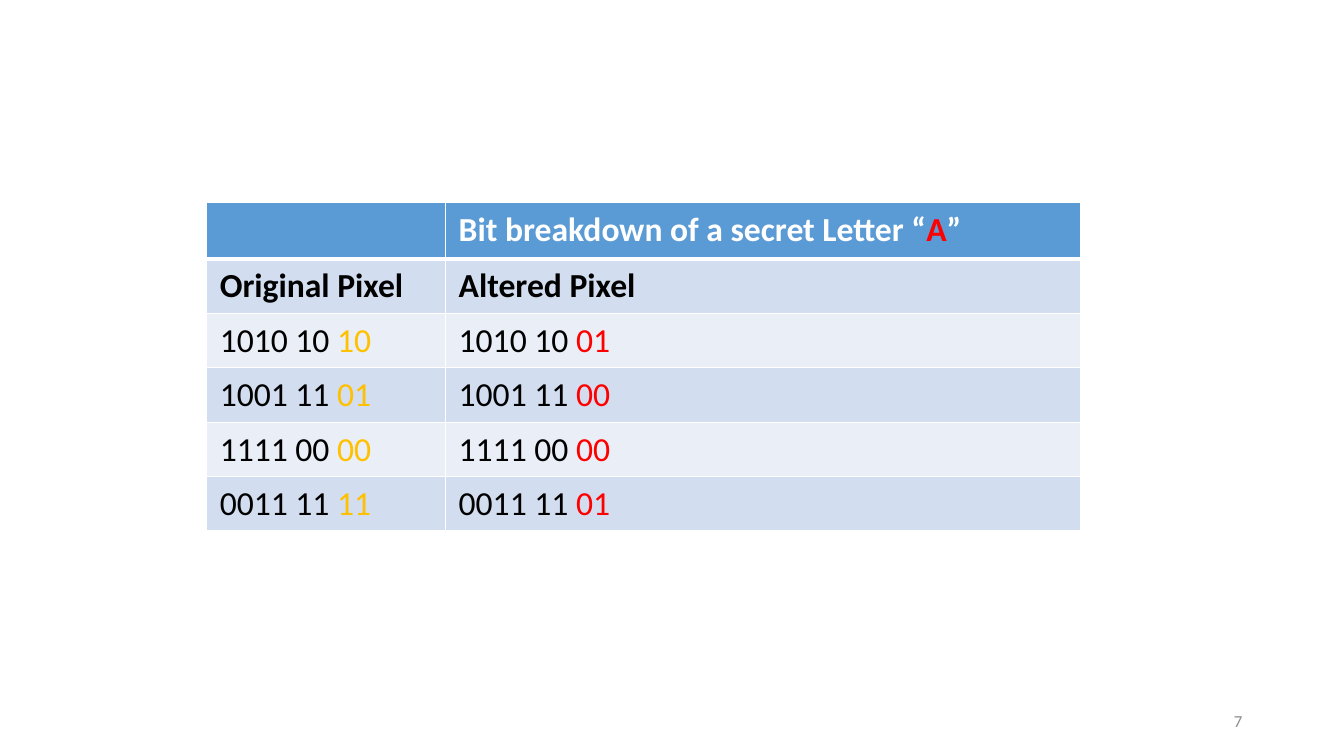
import pptx
import pptx.dml.color
import pptx.enum.text
import pptx.oxml
import pptx.oxml.ns
import pptx.util
from pptx.util import Inches

FONT = "Calibri"
COLORS = {
    "header": "5B9BD5",
    "band_dark": "D2DEEF",
    "band_light": "EAEFF7",
    "border": "FFFFFF",
    "header_text": "FFFFFF",
    "text": "000000",
    "original_bits": "FFC000",
    "altered_bits": "FF0000",
    "slide_number": "8C8C8C",
}
COLUMN_WIDTHS = (2.37, 6.3)
HEADER_HEIGHT, ROW_HEIGHT = 0.56, 0.54

# Leading bits, then the last two bits before and after hiding the letter
PIXELS = [
    ("1010 10 ", "10", "01"),
    ("1001 11 ", "01", "00"),
    ("1111 00 ", "00", "00"),
    ("0011 11 ", "11", "01"),
]


def color(name):
    return pptx.dml.color.RGBColor.from_string(COLORS[name])


def write_text(frame, parts, size=24, bold=False, align=None):
    """Write (text, colour name) parts as the runs of one paragraph."""
    paragraph = frame.paragraphs[0]
    paragraph.alignment = align
    for text, color_name in parts:
        run = paragraph.add_run()
        run.text = text
        run.font.name = FONT
        run.font.size = pptx.util.Pt(size)
        run.font.bold = bold
        run.font.color.rgb = color(color_name)


def set_borders(cell, top=1, bottom=1):
    """Add white borders; widths are in points. Call before filling the cell."""
    properties = cell._tc.get_or_add_tcPr()
    for side, width in (("L", 1), ("R", 1), ("T", top), ("B", bottom)):
        properties.append(pptx.oxml.parse_xml(
            f'<a:ln{side} {pptx.oxml.ns.nsdecls("a")} w="{pptx.util.Pt(width)}">'
            f'<a:solidFill><a:srgbClr val="{COLORS["border"]}"/></a:solidFill>'
            f'</a:ln{side}>'))


def add_pixel_table(slide, left, top):
    rows = [
        ([], [("Bit breakdown of a secret Letter “", "header_text"),
              ("A", "altered_bits"), ("”", "header_text")]),
        ([("Original Pixel", "text")], [("Altered Pixel", "text")]),
    ]
    rows += [([(lead, "text"), (before, "original_bits")],
              [(lead, "text"), (after, "altered_bits")])
             for lead, before, after in PIXELS]

    height = HEADER_HEIGHT + ROW_HEIGHT * (len(rows) - 1)
    table = slide.shapes.add_table(
        len(rows), len(COLUMN_WIDTHS), Inches(left), Inches(top),
        Inches(sum(COLUMN_WIDTHS)), Inches(height)).table
    for column, width in zip(table.columns, COLUMN_WIDTHS):
        column.width = Inches(width)

    for row_index, row in enumerate(rows):
        is_header = row_index == 0
        table.rows[row_index].height = Inches(HEADER_HEIGHT if is_header else ROW_HEIGHT)
        band = "band_dark" if row_index % 2 else "band_light"
        for column_index, parts in enumerate(row):
            cell = table.cell(row_index, column_index)
            set_borders(cell, top=3 if row_index == 1 else 1,
                        bottom=3 if is_header else 1)
            cell.fill.solid()
            cell.fill.fore_color.rgb = color("header" if is_header else band)
            cell.margin_left = cell.margin_right = Inches(0.13)
            cell.margin_top = cell.margin_bottom = Inches(0.07)
            write_text(cell.text_frame, parts, bold=row_index < 2)


def add_slide_number(slide, left, top, width, height):
    box = slide.shapes.add_textbox(
        Inches(left), Inches(top), Inches(width), Inches(height))
    frame = box.text_frame
    frame.word_wrap = True
    frame.vertical_anchor = pptx.enum.text.MSO_ANCHOR.MIDDLE
    write_text(frame, [("7", "slide_number")], size=12,
               align=pptx.enum.text.PP_ALIGN.RIGHT)


def main():
    presentation = pptx.Presentation()
    presentation.slide_width = Inches(13.33)
    presentation.slide_height = Inches(7.5)
    slide = presentation.slides.add_slide(presentation.slide_layouts[6])
    add_slide_number(slide, 9.42, 6.95, 3, 0.4)
    add_pixel_table(slide, 2.05, 2.01)
    presentation.save("out.pptx")


if __name__ == "__main__":
    main()
